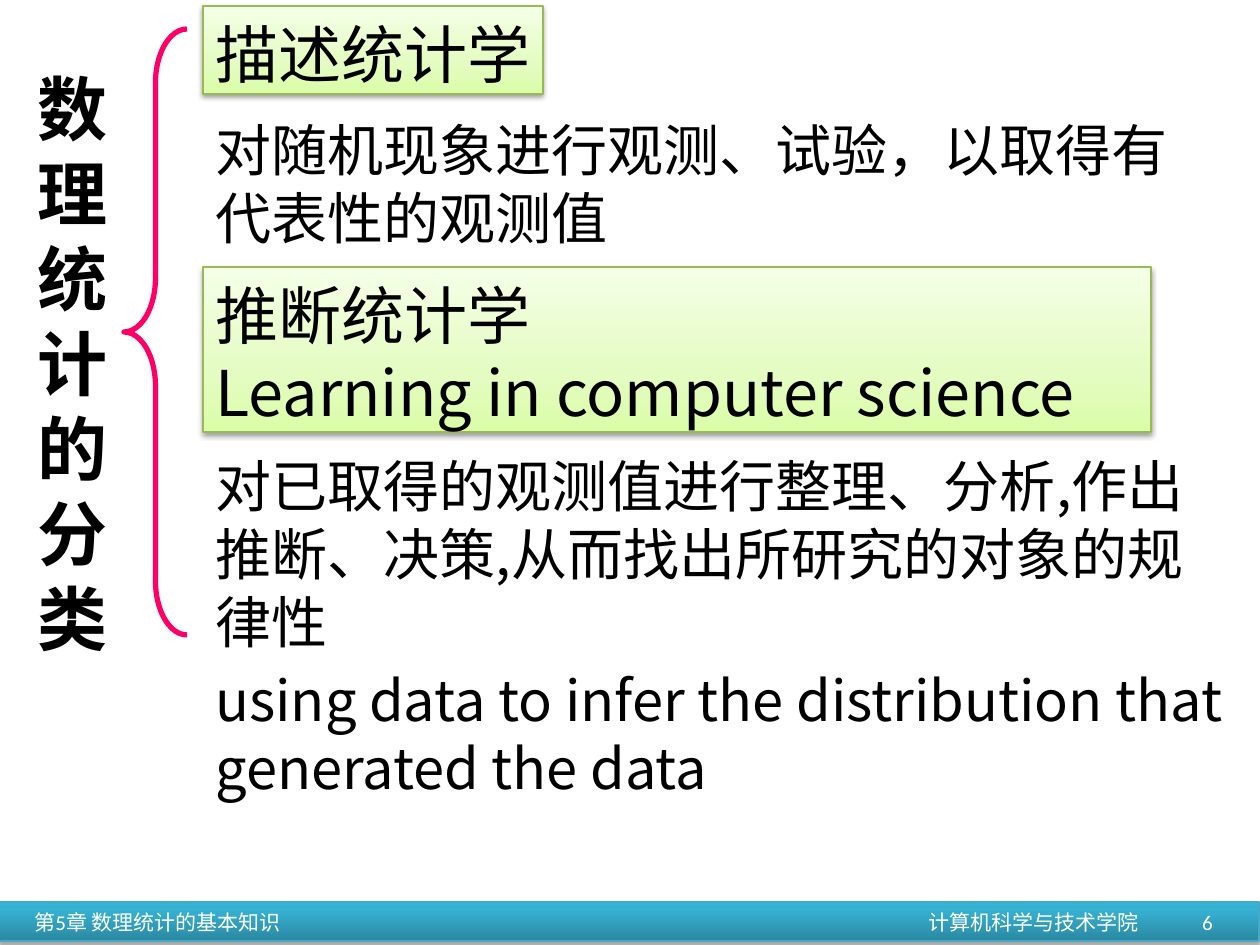
from lxml import etree
from pptx import Presentation
from pptx import util as u
from pptx.dml.color import RGBColor
from pptx.enum import shapes, text
from pptx.oxml import parse_xml
from pptx.oxml.ns import qn

px = 914400 / 126
NS = 'xmlns:a="http://schemas.openxmlformats.org/drawingml/2006/main"'
theme = {
    "font": "Noto Sans CJK SC", "small": "Calibri",
    "ink": "000000", "white": "FFFFFF", "brace": "FF0066",
    "title": 40, "head": 36, "body": 32, "foot": 12,
    "green": {"stops": [(0, "DAFDA7"), (35, "E4FCC2"), (100, "F5FFE7")],
              "line": "98B955", "alpha": 38, "drop": 1.6},
    "teal": {"stops": [(0, "2A88A2"), (80, "37B1D2"), (100, "34B4D6")],
             "line": "46AAC5", "alpha": 35, "drop": 1.8},
}

prs = Presentation()
prs.slide_width, prs.slide_height = round(1260 * px), round(945 * px)
slide = prs.slides.add_slide(prs.slide_layouts[6])


def write(shape, lines, size, font=theme["font"], ink=theme["ink"],
          bold=False, align=text.PP_ALIGN.LEFT, wrap=True, top=9):
    """Fill a shape with lines of one style."""
    frame = shape.text_frame
    frame.text = "\n".join(lines)
    frame.word_wrap = wrap
    frame.margin_top, frame.margin_bottom = round(top * px), 0
    frame.vertical_anchor = text.MSO_ANCHOR.TOP
    for para in frame.paragraphs:
        para.alignment = align
        para.line_spacing = u.Pt(round(size * 1.214, 1))
        for run in para.runs:
            run.font.size, run.font.bold, run.font.name = u.Pt(size), bold, font
            run.font.color.rgb = RGBColor.from_string(ink)
            east = etree.SubElement(run.font._element, qn("a:ea"))
            east.set("typeface", theme["font"])
    return frame


def panel(x, y, w, h, look):
    """Add a rectangle with an upward gradient and a soft shadow."""
    box = slide.shapes.add_shape(shapes.MSO_SHAPE.RECTANGLE,
                                 *[round(v * px) for v in (x, y, w, h)])
    box.line.color.rgb = RGBColor.from_string(look["line"])
    box.line.width = u.Pt(0.75)
    stops = "".join(f'<a:gs pos="{at * 1000}"><a:srgbClr val="{hue}"/></a:gs>'
                    for at, hue in look["stops"])
    props = box._element.spPr
    props.find(qn("a:prstGeom")).addnext(parse_xml(
        f'<a:gradFill {NS} rotWithShape="1"><a:gsLst>{stops}</a:gsLst>'
        '<a:lin ang="16200000" scaled="0"/></a:gradFill>'))
    props.append(parse_xml(
        f'<a:effectLst {NS}><a:outerShdw blurRad="{u.Pt(3.1)}" '
        f'dist="{u.Pt(look["drop"])}" dir="5400000" rotWithShape="0">'
        f'<a:srgbClr val="000000"><a:alpha val="{look["alpha"] * 1000}"/>'
        '</a:srgbClr></a:outerShdw></a:effectLst>'))
    return box


# Footer bar with chapter, school and page number
panel(-1, 902, 1260, 39, theme["teal"])
left, right = text.PP_ALIGN.LEFT, text.PP_ALIGN.RIGHT
for x, w, words, align in [(22, 500, "第5章 数理统计的基本知识", left),
                           (751, 400, "计算机科学与技术学院", right),
                           (1131, 94, "6", right)]:
    note = slide.shapes.add_textbox(*[round(v * px) for v in (x, 902, w, 39)])
    frame = write(note, [words], theme["foot"], theme["small"], theme["white"],
                  align=align, top=0)
    frame.vertical_anchor = text.MSO_ANCHOR.MIDDLE

# Vertical title, one character a line
title = slide.shapes.add_textbox(*[round(v * px) for v in (25, 55, 96, 601)])
write(title, "数理统计的分类", theme["title"], bold=True, wrap=False)

# Brace joining the two branches
brace = slide.shapes.add_shape(shapes.MSO_SHAPE.LEFT_BRACE,
                               *[round(v * px) for v in (124, 29, 63, 606)])
brace.adjustments[0], brace.adjustments[1] = 0.86, 0.5
brace.fill.background()
brace.line.color.rgb = RGBColor.from_string(theme["brace"])
brace.line.width = u.Pt(3)
brace.shadow.inherit = False

# Branch headings
for y, w, h, lines in [(6, 340, 88, ["描述统计学"]),
                       (267, 948, 165, ["推断统计学",
                                        "Learning in computer science"])]:
    write(panel(203, y, w, h, theme["green"]), lines, theme["head"], wrap=False)

# Branch explanations
for y, w, h, lines in [
        (106, 1002, 149, ["对随机现象进行观测、试验，以取得有代表性的观测值"]),
        (442, 1036, 363, ["对已取得的观测值进行整理、分析,作出推断、决策,从而找出所研究的对象的规律性",
                          "using data to infer the distribution that generated the data"])]:
    body = slide.shapes.add_textbox(*[round(v * px) for v in (203, y, w, h)])
    frame = write(body, lines, theme["body"])
    for para in frame.paragraphs[1:]:
        para.space_before = u.Pt(6)

prs.save("out.pptx")
